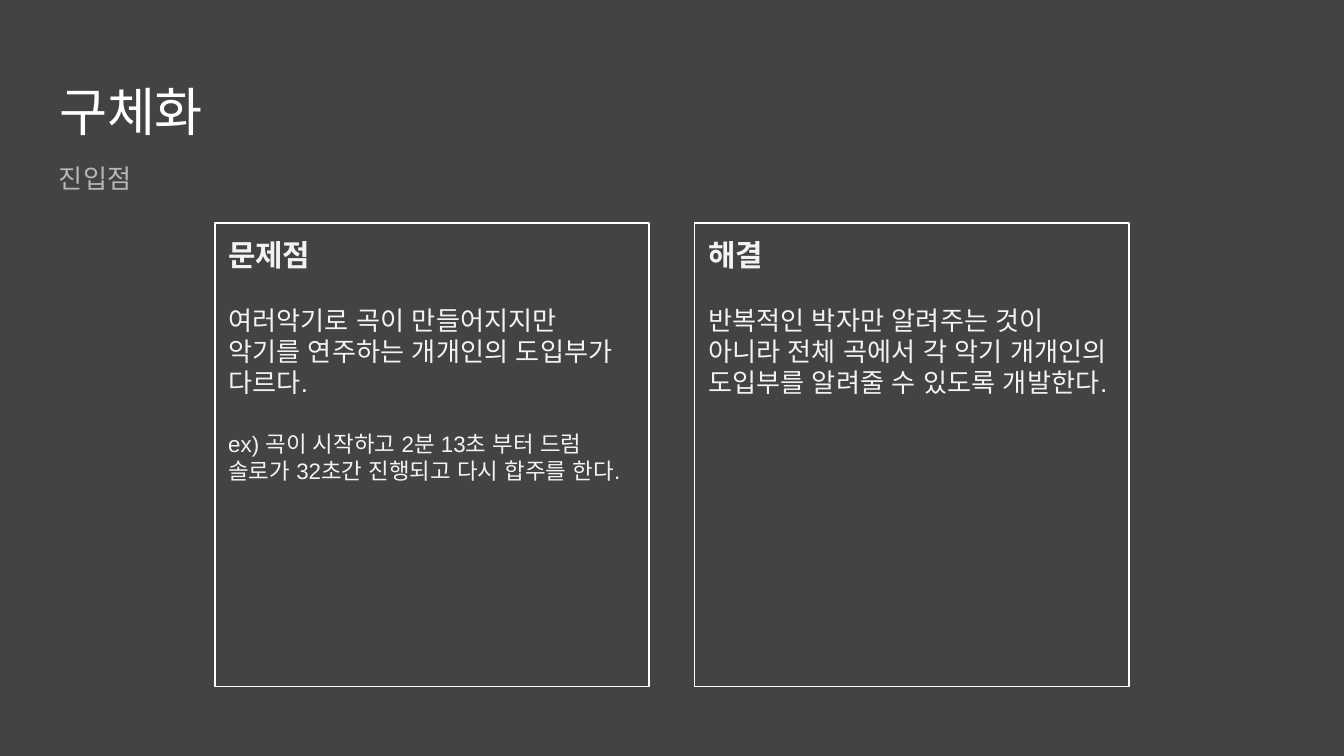
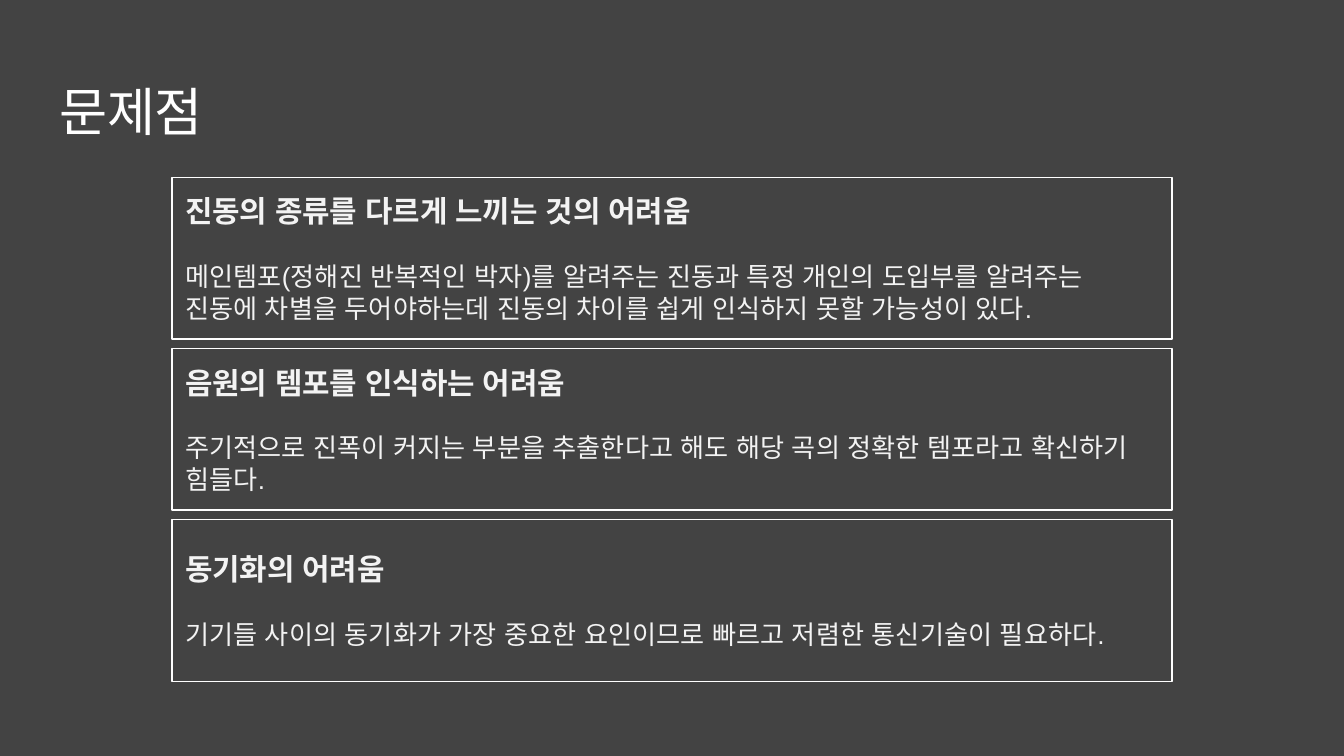
from dataclasses import dataclass

import lxml.etree
import pptx
import pptx.dml.color
import pptx.enum.shapes
import pptx.enum.text
import pptx.oxml.ns
import pptx.util

Inches = pptx.util.Inches
Pt = pptx.util.Pt
Anchor = pptx.enum.text.MSO_ANCHOR
Align = pptx.enum.text.PP_ALIGN
qn = pptx.oxml.ns.qn


@dataclass(frozen=True)
class Theme:
    font: str = "Arial"
    background: str = "434343"
    white: str = "FFFFFF"
    muted: str = "B7B7B7"
    text: str = "F3F3F3"
    title_size: int = 28
    heading_size: int = 16
    body_size: int = 14
    example_size: int = 12
    paragraph_gap: int = 17
    outline: float = 0.75
    inset: float = 0.1


THEME = Theme()


def color(code):
    return pptx.dml.color.RGBColor.from_string(code)


def set_script_fonts(para):
    """Use the theme font for East Asian and complex scripts too."""
    properties = para._p.get_or_add_pPr().find(qn("a:defRPr"))
    for tag in ("a:ea", "a:cs"):
        lxml.etree.SubElement(properties, qn(tag)).set("typeface", THEME.font)


def fill_frame(frame, lines, ink, anchor=Anchor.TOP):
    """Write lines of (text, size, bold) as spaced, left-aligned paragraphs."""
    frame.word_wrap = True
    frame.auto_size = pptx.enum.text.MSO_AUTO_SIZE.NONE
    frame.vertical_anchor = anchor
    frame.margin_left = frame.margin_right = Inches(THEME.inset)
    frame.margin_top = frame.margin_bottom = Inches(THEME.inset)
    for index, (text, size, bold) in enumerate(lines):
        para = frame.add_paragraph() if index else frame.paragraphs[0]
        para.text = text
        para.alignment = Align.LEFT
        para.space_before = Pt(THEME.paragraph_gap if index else 0)
        para.font.name = THEME.font
        para.font.size = Pt(size)
        para.font.bold = bold
        para.font.color.rgb = color(ink)
        set_script_fonts(para)


def add_page(deck, title):
    """Add a page with the shared title style."""
    page = deck.slides.add_slide(deck.slide_layouts.get_by_name("Title Only"))
    heading = page.shapes.title
    heading.left, heading.top = Inches(0.34), Inches(0.49)
    heading.width, heading.height = Inches(9.32), Inches(0.63)
    fill_frame(heading.text_frame, [(title, THEME.title_size, False)], THEME.white)
    return page


def add_subtitle(page, text, left, top, width, height):
    box = page.shapes.add_textbox(
        Inches(left), Inches(top), Inches(width), Inches(height))
    fill_frame(box.text_frame, [(text, THEME.body_size, False)], THEME.muted)


def add_card(page, left, top, width, height, heading, body, example=None,
             anchor=Anchor.TOP):
    """Outlined card: bold heading, body and an optional smaller example."""
    card = page.shapes.add_shape(
        pptx.enum.shapes.MSO_SHAPE.RECTANGLE,
        Inches(left), Inches(top), Inches(width), Inches(height))
    card.shadow.inherit = False
    card.fill.background()
    card.line.color.rgb = color(THEME.white)
    card.line.width = Pt(THEME.outline)
    lines = [(heading, THEME.heading_size, True), (body, THEME.body_size, False)]
    if example:
        lines.append((example, THEME.example_size, False))
    fill_frame(card.text_frame, lines, THEME.text, anchor)


def add_columns(page, left, top, width, height, gap, cards):
    card_width = (width - gap * (len(cards) - 1)) / len(cards)
    for index, texts in enumerate(cards):
        add_card(page, left + index * (card_width + gap), top,
                 card_width, height, *texts)


def add_rows(page, left, top, width, height, gap, cards):
    card_height = (height - gap * (len(cards) - 1)) / len(cards)
    for index, texts in enumerate(cards):
        add_card(page, left, top + index * (card_height + gap),
                 width, card_height, *texts, anchor=Anchor.MIDDLE)


def build_approach(deck):
    page = add_page(deck, "구체화")
    add_subtitle(page, "진입점", 0.34, 1.11, 5.42, 0.54)
    add_columns(page, 1.6, 1.66, 6.8, 3.45, 0.34, [
        ("문제점",
         "여러악기로 곡이 만들어지지만 악기를 연주하는 개개인의 도입부가 다르다.",
         "ex) 곡이 시작하고 2분 13초 부터 드럼 솔로가 32초간 진행되고 다시 합주를 한다."),
        ("해결",
         "반복적인 박자만 알려주는 것이 아니라 전체 곡에서 각 악기 개개인의 "
         "도입부를 알려줄 수 있도록 개발한다."),
    ])


def build_problems(deck):
    page = add_page(deck, "문제점")
    add_rows(page, 1.28, 1.32, 7.44, 3.75, 0.07, [
        ("진동의 종류를 다르게 느끼는 것의 어려움",
         "메인템포(정해진 반복적인 박자)를 알려주는 진동과 특정 개인의 도입부를 알려주는 "
         "진동에 차별을 두어야하는데 진동의 차이를 쉽게 인식하지 못할 가능성이 있다."),
        ("음원의 템포를 인식하는 어려움",
         "주기적으로 진폭이 커지는 부분을 추출한다고 해도 해당 곡의 정확한 템포라고 "
         "확신하기 힘들다."),
        ("동기화의 어려움",
         "기기들 사이의 동기화가 가장 중요한 요인이므로 빠르고 저렴한 통신기술이 필요하다."),
    ])


def main():
    deck = pptx.Presentation()
    # Widescreen, 16:9
    deck.slide_width = Inches(10)
    deck.slide_height = deck.slide_width * 9 // 16
    # Shared background on the master
    backdrop = deck.slide_master.background.fill
    backdrop.solid()
    backdrop.fore_color.rgb = color(THEME.background)
    build_approach(deck)
    build_problems(deck)
    deck.save("out.pptx")


if __name__ == "__main__":
    main()
